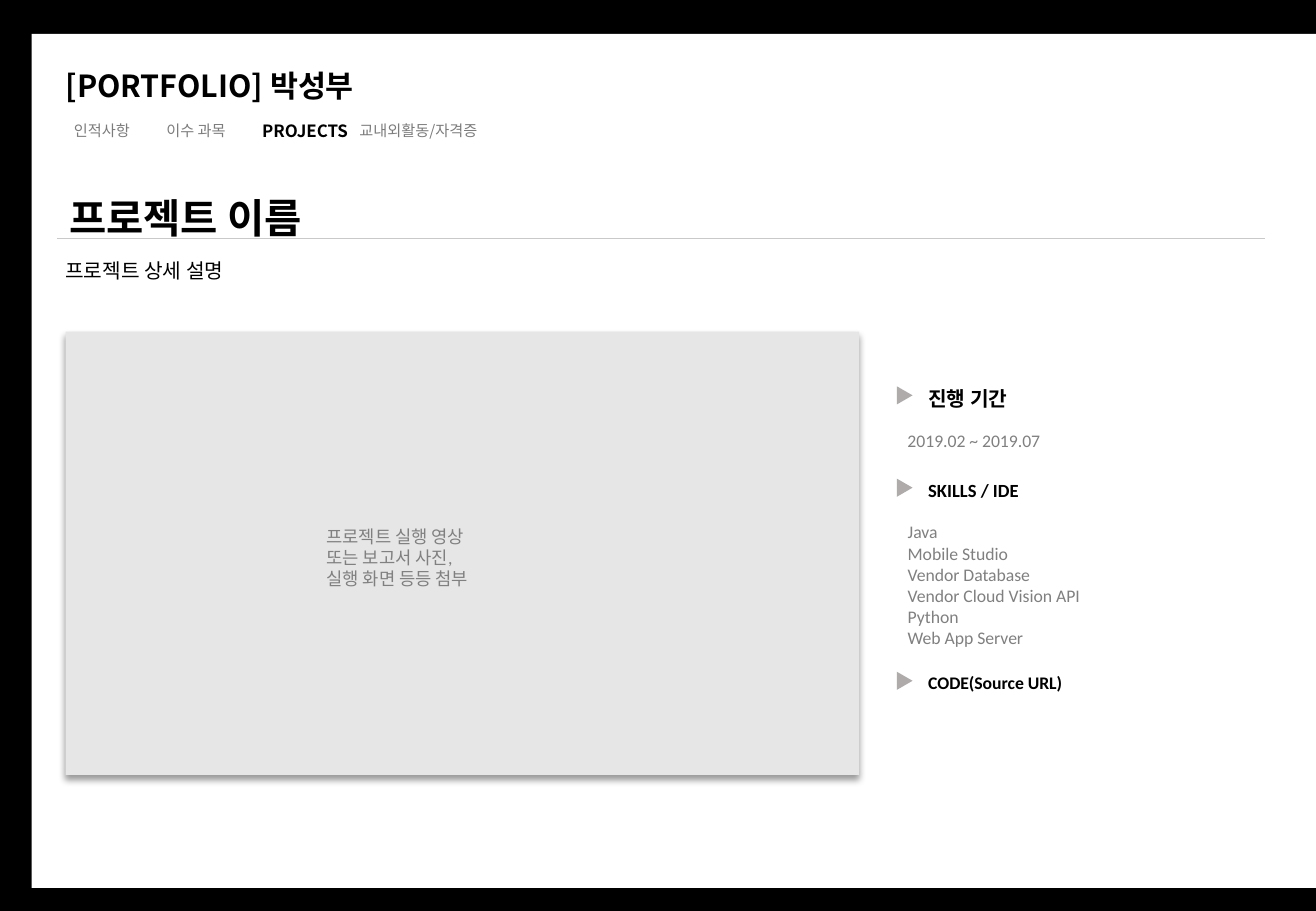
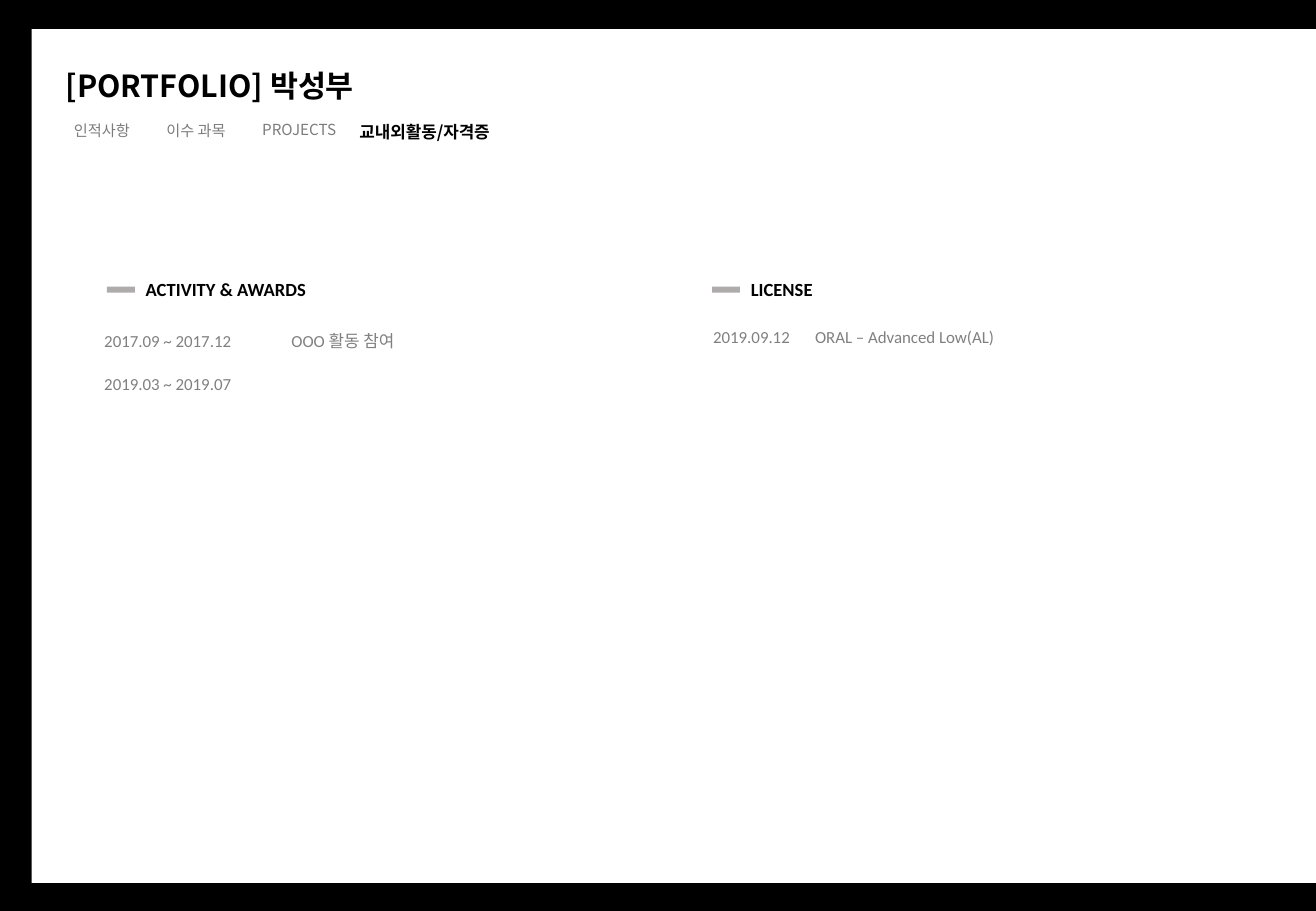
import pptx
import pptx.util
import pptx.dml.color
import pptx.enum.shapes
import pptx.enum.text
import pptx.oxml
import pptx.oxml.ns

Inches = pptx.util.Inches
Pt = pptx.util.Pt
RGBColor = pptx.dml.color.RGBColor
MSO_SHAPE = pptx.enum.shapes.MSO_SHAPE

BLACK = RGBColor(0x00, 0x00, 0x00)
WHITE = RGBColor(0xFF, 0xFF, 0xFF)
TEXT_GRAY = RGBColor(0x80, 0x80, 0x80)
TAB_GRAY = RGBColor(0x7C, 0x7C, 0x7C)
MARKER_GRAY = RGBColor(0xAF, 0xAB, 0xAB)
RULE_GRAY = RGBColor(0xC9, 0xC9, 0xC9)
MEDIA_GRAY = RGBColor(0xE7, 0xE6, 0xE6)

LATIN_FONT = "Calibri"
KOREAN_FONT = "Noto Sans CJK KR"

TITLE = {"name": KOREAN_FONT, "size": Pt(18), "bold": True, "color": BLACK}
PROJECT_NAME = {**TITLE, "size": Pt(24)}
TAB = {"name": KOREAN_FONT, "size": Pt(9), "bold": False, "color": TAB_GRAY}
ACTIVE_TAB = {**TITLE, "size": Pt(10)}
DESCRIPTION = {"name": LATIN_FONT, "size": Pt(12), "bold": False, "color": BLACK}
HEADING = {"name": LATIN_FONT, "size": Pt(11), "bold": True, "color": BLACK}
DETAIL = {"name": LATIN_FONT, "size": Pt(10.5), "bold": False, "color": TEXT_GRAY}
ENTRY = {**DETAIL, "size": Pt(10)}

TABS = [
    ("인적사항", 0.51, 0.95, 1.4),
    ("이수 과목", 1.27, 0.95, 0.91),
    ("PROJECTS", 2.06, 0.94, 1.4),
    ("교내외활동/자격증", 2.86, 0.95, 1.39),
]

SHADOW_XML = (
    f'<a:effectLst {pptx.oxml.ns.nsdecls("a")}>'
    '<a:outerShdw blurRad="50800" dist="38100" dir="5400000" algn="t" rotWithShape="0">'
    '<a:srgbClr val="000000"><a:alpha val="40000"/></a:srgbClr>'
    "</a:outerShdw></a:effectLst>"
)


def add_xml(parent, xml):
    parent.append(pptx.oxml.parse_xml(xml))


def format_run(run, style):
    """Apply a style; Korean glyphs always use the East Asian font."""
    for attribute, value in style.items():
        if attribute == "color":
            run.font.color.rgb = value
        else:
            setattr(run.font, attribute, value)
    add_xml(
        run.font._element,
        f'<a:ea {pptx.oxml.ns.nsdecls("a")} typeface="{KOREAN_FONT}"/>',
    )


def fill_text(frame, lines, style, wrap=True, line_spacing=None):
    frame_format = {
        "word_wrap": wrap,
        "auto_size": pptx.enum.text.MSO_AUTO_SIZE.SHAPE_TO_FIT_TEXT,
        "vertical_anchor": pptx.enum.text.MSO_ANCHOR.TOP,
    }
    for attribute, value in frame_format.items():
        setattr(frame, attribute, value)
    for index, line in enumerate(lines):
        paragraph = frame.add_paragraph() if index else frame.paragraphs[0]
        paragraph.alignment = pptx.enum.text.PP_ALIGN.LEFT
        paragraph.line_spacing = line_spacing
        run = paragraph.add_run()
        run.text = line
        format_run(run, style)


def add_text(slide, box, lines, style, **options):
    shape = slide.shapes.add_textbox(*map(Inches, box))
    fill_text(shape.text_frame, lines, style, **options)


def fill_placeholder(placeholder, box, lines, style):
    """Move a placeholder and set its text without bullets or indents."""
    for attribute, value in zip(("left", "top", "width", "height"), box):
        setattr(placeholder, attribute, Inches(value))
    fill_text(placeholder.text_frame, lines, style)
    for paragraph in placeholder.text_frame.paragraphs:
        paragraph.space_before = Pt(0)
        properties = paragraph._p.get_or_add_pPr()
        properties.set("marL", "0")
        properties.set("indent", "0")
        add_xml(properties, f'<a:buNone {pptx.oxml.ns.nsdecls("a")}/>')


def add_block(slide, box, color, kind=MSO_SHAPE.RECTANGLE, rotation=0):
    shape = slide.shapes.add_shape(kind, *map(Inches, box))
    shape.shadow.inherit = False
    shape.fill.solid()
    shape.fill.fore_color.rgb = color
    shape.line.fill.background()
    shape.rotation = rotation
    return shape


def add_rule(slide, left, right, top):
    line = slide.shapes.add_connector(
        pptx.enum.shapes.MSO_CONNECTOR.STRAIGHT,
        *map(Inches, (left, top, right, top)),
    )
    line.line.color.rgb = RULE_GRAY
    line.line.width = Pt(0.5)
    add_xml(line._element.spPr, f'<a:effectLst {pptx.oxml.ns.nsdecls("a")}/>')


def add_page(presentation, layout_index, panel_top, active_tab):
    """Add a slide with the black frame, white panel, title and tabs."""
    slide = presentation.slides.add_slide(presentation.slide_layouts[layout_index])
    slide.background.fill.solid()
    slide.background.fill.fore_color.rgb = BLACK
    panel = add_block(slide, (0.26, panel_top, 10.58, 7.03), WHITE)
    slide.shapes._spTree.insert(2, panel._element)  # behind the placeholders
    fill_placeholder(
        slide.shapes.title, (0.44, 0.5, 3.04, 0.4), ["[PORTFOLIO] 박성부"], TITLE
    )
    for name, left, top, width in TABS:
        style = ACTIVE_TAB if name == active_tab else TAB
        add_text(slide, (left, top, width, 0.25), [name], style)
    return slide


def add_arrow_heading(slide, top, text, size):
    add_block(
        slide, (7.37, top + 0.06, 0.15, 0.13), MARKER_GRAY,
        MSO_SHAPE.ISOSCELES_TRIANGLE, rotation=90,
    )
    add_text(slide, (7.54, top, 1.48, 0.29), [text], {**HEADING, "size": Pt(size)})


def add_bar_heading(slide, left, text):
    add_block(slide, (left, 2.36, 0.23, 0.05), MARKER_GRAY)
    add_text(slide, (left + 0.22, 2.24, 1.99, 0.29), [text], HEADING)


def build_project(presentation):
    slide = add_page(presentation, 1, 0.28, "PROJECTS")
    add_text(slide, (0.47, 1.54, 2.55, 0.5), ["프로젝트 이름"], PROJECT_NAME)
    add_rule(slide, 0.47, 10.41, 1.96)
    add_text(
        slide, (0.44, 1.98, 9.94, 0.37), ["프로젝트 상세 설명"], DESCRIPTION,
        line_spacing=1.5,
    )

    media = add_block(slide, (0.54, 2.73, 6.53, 3.65), MEDIA_GRAY)
    properties = media._element.spPr
    properties.remove(properties.find(pptx.oxml.ns.qn("a:effectLst")))
    add_xml(properties, SHADOW_XML)
    add_text(
        slide, (2.59, 4.28, 1.54, 0.63),
        ["프로젝트 실행 영상", "또는 보고서 사진,", "실행 화면 등등 첨부"],
        DETAIL, wrap=False,
    )

    for top, text, size in [
        (3.13, "진행 기간", 12),
        (3.89, "SKILLS / IDE", 11),
        (5.48, "CODE(Source URL)", 10.5),
    ]:
        add_arrow_heading(slide, top, text, size)
    add_text(slide, (7.37, 3.49, 1.44, 0.28), ["2019.02 ~ 2019.07"], DETAIL, wrap=False)
    skills = [
        "Java", "Mobile Studio", "Vendor Database",
        "Vendor Cloud Vision API", "Python", "Web App Server",
    ]
    fill_placeholder(slide.placeholders[1], (7.37, 4.24, 1.86, 1.16), skills, DETAIL)


def build_activities(presentation):
    slide = add_page(presentation, 5, 0.24, "교내외활동/자격증")
    add_bar_heading(slide, 0.88, "ACTIVITY & AWARDS")
    add_bar_heading(slide, 5.86, "LICENSE")
    for left, top, width, text in [
        (0.76, 2.67, 1.44, "2017.09 ~ 2017.12"),
        (2.3, 2.67, 1.19, "OOO 활동 참여"),
        (0.76, 3.03, 1.44, "2019.03 ~ 2019.07"),
        (5.77, 2.64, 0.88, "2019.09.12"),
        (6.61, 2.64, 1.86, "ORAL – Advanced Low(AL)"),
    ]:
        add_text(slide, (left, top, width, 0.27), [text], ENTRY, wrap=False)


def main():
    presentation = pptx.Presentation()
    presentation.slide_width = Inches(10.83)
    presentation.slide_height = Inches(7.5)
    build_project(presentation)
    build_activities(presentation)
    presentation.save("out.pptx")


if __name__ == "__main__":
    main()
